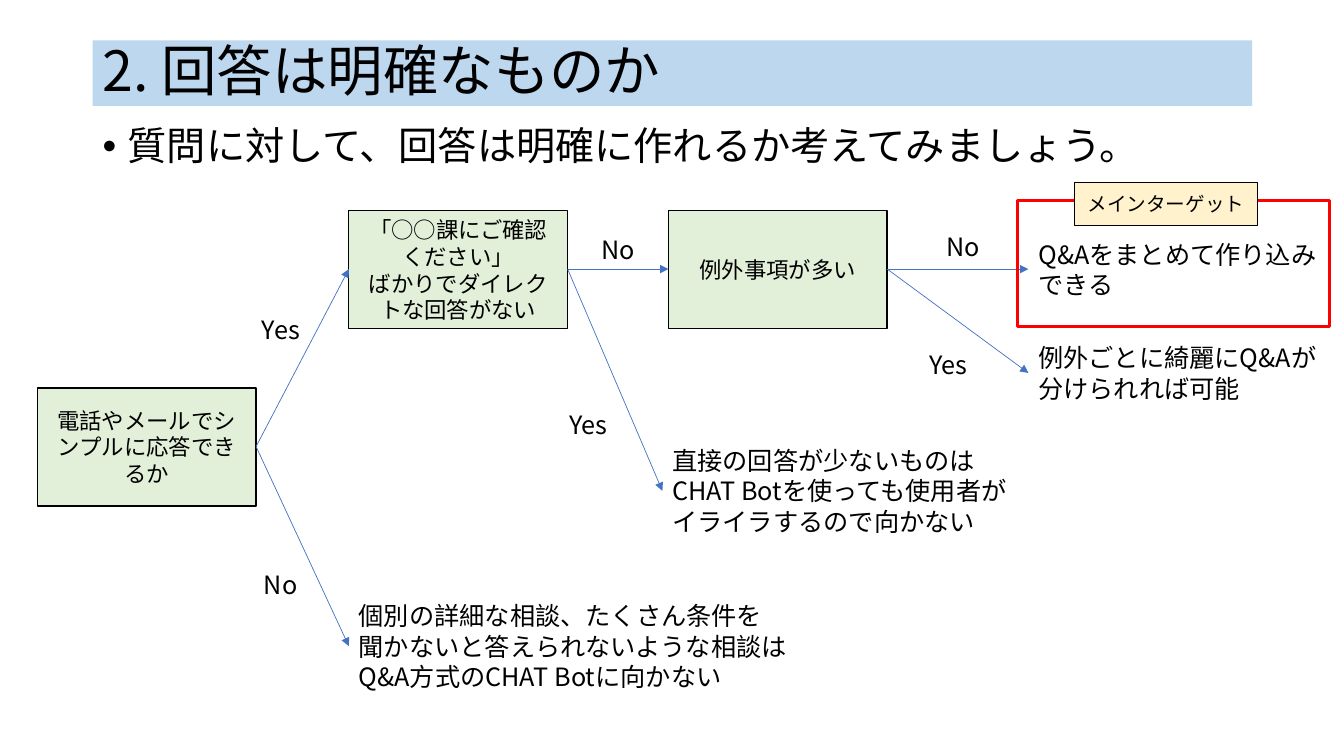
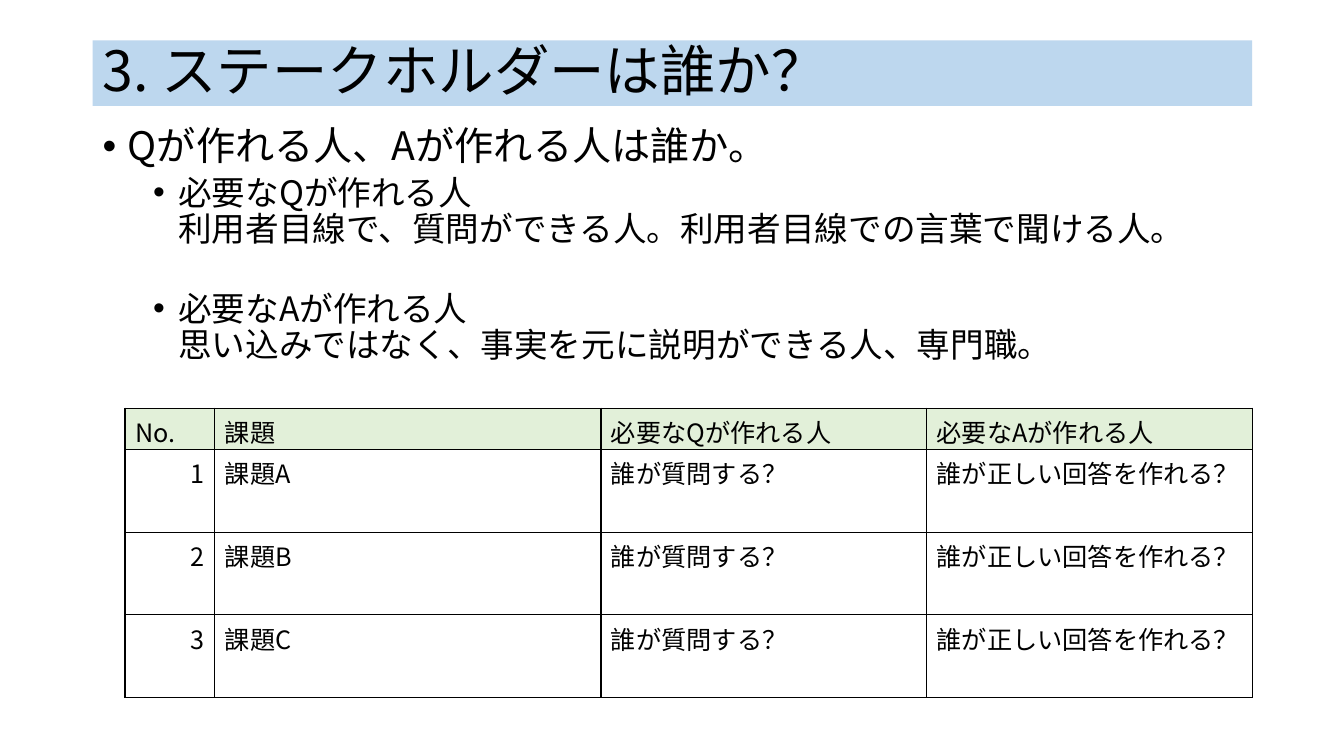
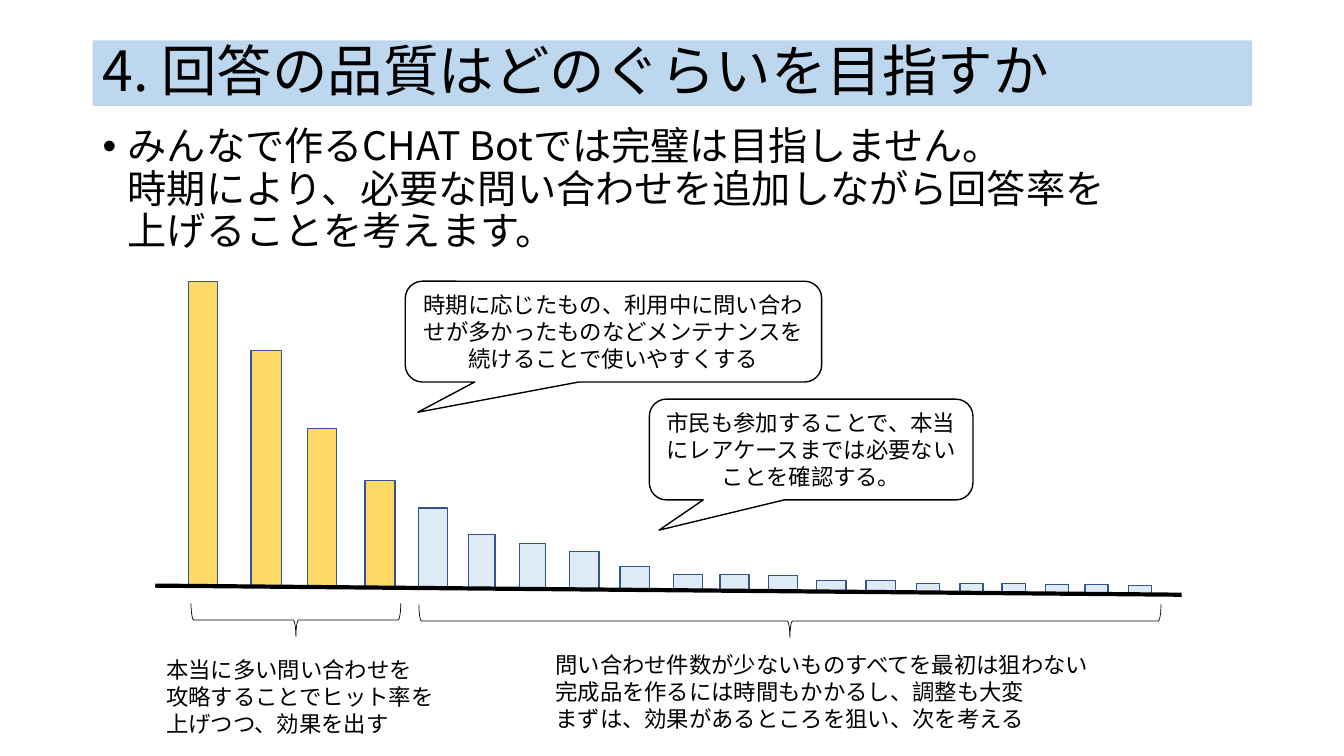
from dataclasses import dataclass

from pptx import Presentation
from pptx.dml.color import RGBColor
from pptx.enum.shapes import MSO_CONNECTOR, MSO_SHAPE
from pptx.enum.text import MSO_ANCHOR, MSO_AUTO_SIZE, PP_ALIGN
from pptx.oxml.xmlchemy import OxmlElement
from pptx.util import Emu, Pt

PX = 9144  # EMU per px, 100 px to the inch
RECT = MSO_SHAPE.RECTANGLE
CALLOUT = MSO_SHAPE.ROUNDED_RECTANGULAR_CALLOUT
BRACE = MSO_SHAPE.LEFT_BRACE
STRAIGHT = MSO_CONNECTOR.STRAIGHT
MIDDLE = MSO_ANCHOR.MIDDLE
GROW = MSO_AUTO_SIZE.SHAPE_TO_FIT_TEXT
LEFT, CENTER, RIGHT = PP_ALIGN.LEFT, PP_ALIGN.CENTER, PP_ALIGN.RIGHT


@dataclass(frozen=True)
class Theme:
    font: str = "Noto Sans CJK JP"
    ink: str = "000000"
    band: str = "BDD7EE"
    green: str = "E2F0D9"
    cream: str = "FFF2CC"
    white: str = "FFFFFF"
    red: str = "FF0000"
    arrow: str = "4472C4"
    gold: str = "FFD966"
    pale: str = "DEEBF7"
    bar_line: str = "325491"
    title: float = 39.6
    bullet: int = 28
    sub_bullet: int = 24
    text: int = 18
    small: int = 16
    tag: int = 14


def px(n):
    return Emu(n * PX)


def child(parent, tag, **attrs):
    el = OxmlElement(tag)
    for name, value in attrs.items():
        el.set(name, str(value))
    parent.append(el)
    return el


class Deck:
    """Holds the theme, the presentation and the slide being drawn."""

    def __init__(self, theme):
        self.theme = theme
        self.prs = Presentation()
        self.prs.slide_width, self.prs.slide_height = px(1333), px(750)
        self.s = None

    def slide(self, title, bullets):
        """Start a slide; bullets are (level, space before, text)."""
        self.s = self.prs.slides.add_slide(self.prs.slide_layouts[6])
        band = self.shape(RECT, (92, 40, 1150, 65), self.theme.band)
        self.put_text(band.text_frame, title, self.theme.title)
        band.text_frame.paragraphs[0].line_spacing = 0.9

        tf = self.s.shapes.add_textbox(*map(px, (92, 121, 1150, 555))).text_frame
        tf.word_wrap = True
        tf.text = "\n".join(text for _, _, text in bullets)
        for p, (level, before, _) in zip(tf.paragraphs, bullets):
            size = self.theme.sub_bullet if level else self.theme.bullet
            self.style(p, size)
            p.level, p.line_spacing, p.space_before = level, 0.9, Pt(before)
            pPr = p._p.get_or_add_pPr()
            pPr.set("marL", str(px(25 + 50 * level)))
            pPr.set("indent", str(px(-25)))
            child(pPr, "a:buFont", typeface="Arial")
            child(pPr, "a:buChar", char="•")

    def style(self, p, size, align=LEFT):
        p.alignment = align
        for r in p.runs:
            r.font.size = Pt(size)
            r.font.color.rgb = RGBColor.from_string(self.theme.ink)
            r.font.name = self.theme.font
            child(r._r.get_or_add_rPr(), "a:ea", typeface=self.theme.font)

    def put_text(self, tf, text, size, align=LEFT):
        tf.text = text
        for p in tf.paragraphs:
            self.style(p, size, align)

    def shape(self, kind, box, fill=None, line=None, weight=1):
        sp = self.s.shapes.add_shape(kind, *map(px, box))
        sp.shadow.inherit = False
        if fill:
            sp.fill.solid()
            sp.fill.fore_color.rgb = RGBColor.from_string(fill)
        else:
            sp.fill.background()
        if line:
            sp.line.color.rgb = RGBColor.from_string(line)
            sp.line.width = Pt(weight)
        else:
            sp.line.fill.background()
        sp.text_frame.vertical_anchor = MIDDLE
        return sp

    def box(self, box, text, fill, size, kind=RECT):
        sp = self.shape(kind, box, fill, self.theme.ink)
        self.put_text(sp.text_frame, text, size, CENTER)
        return sp

    def callout(self, box, text):
        sp = self.box(box, text, self.theme.white, self.theme.small, CALLOUT)
        for i, value in enumerate((-0.47, 0.8, 0.17)):
            sp.adjustments[i] = value

    def text(self, box, text, size):
        tf = self.s.shapes.add_textbox(*map(px, box)).text_frame
        tf.word_wrap = False
        tf.auto_size = GROW
        self.put_text(tf, text, size)

    def line(self, start, end, color, weight, arrow=False):
        c = self.s.shapes.add_connector(STRAIGHT, *map(px, start + end))
        c.line.color.rgb = RGBColor.from_string(color)
        c.line.width = Pt(weight)
        spPr = c._element.spPr
        if arrow:
            child(spPr.get_or_add_ln(), "a:tailEnd", type="triangle")
        child(spPr, "a:effectLst")

    def link(self, source, target):
        """Arrow from the right middle of one box to the left middle of another."""
        x, y, w, h = source
        tx, ty, _, th = target
        self.line((x + w, y + h // 2), (tx, ty + th // 2), self.theme.arrow, 0.5, True)

    def brace(self, left, top, width, depth):
        """Brace that opens upwards over the given span."""
        box = (left + (width - depth) // 2, top - (width - depth) // 2, depth, width)
        self.shape(BRACE, box, None, self.theme.ink, 0.5).rotation = 270

    def table(self, left, top, widths, heights, rows):
        frame = self.s.shapes.add_table(
            len(rows), len(widths), *map(px, (left, top, sum(widths), sum(heights))))
        table = frame.table
        table.first_row = table.horz_banding = False
        for col, width in zip(table.columns, widths):
            col.width = px(width)
        for i, (height, values) in enumerate(zip(heights, rows)):
            table.rows[i].height = px(height)
            for j, value in enumerate(values):
                self.cell(table.cell(i, j), value, i == 0, RIGHT if i and not j else LEFT)

    def cell(self, cell, text, header, align):
        self.put_text(cell.text_frame, text, self.theme.text, align)
        tcPr = cell._tc.get_or_add_tcPr()
        for side in ("L", "R", "T", "B"):
            ln = child(tcPr, f"a:ln{side}", w=Pt(1))
            child(child(ln, "a:solidFill"), "a:srgbClr", val=self.theme.ink)
        if header:
            cell.fill.solid()
            cell.fill.fore_color.rgb = RGBColor.from_string(self.theme.green)
        else:
            cell.fill.background()


def clear_answers(deck):
    t = deck.theme
    deck.slide("2. 回答は明確なものか",
               [(0, 10, "質問に対して、回答は明確に作れるか考えてみましょう。")])

    simple, direct, exceptions = [
        (x, y, 217, 117) for x, y in ((37, 385), (346, 209), (663, 209))]
    for box, text in (
            (simple, "電話やメールでシンプルに応答できるか"),
            (direct, "「○○課にご確認ください」\vばかりでダイレクトな回答がない"),
            (exceptions, "例外事項が多い")):
        deck.box(box, text, t.green, t.small)

    consult = (346, 591, 449, 101)
    indirect = (657, 437, 352, 101)
    split = (1020, 335, 300, 71)
    ready = (1020, 232, 300, 71)
    for box, text in (
            (consult, "個別の詳細な相談、たくさん条件を\v聞かないと答えられないような相談は\v"
                      "Q&A方式のCHAT Botに向かない"),
            (indirect, "直接の回答が少ないものは\vCHAT Botを使っても使用者が\v"
                       "イライラするので向かない"),
            (split, "例外ごとに綺麗にQ&Aが\v分けられれば可能"),
            (ready, "Q&Aをまとめて作り込み\vできる")):
        deck.text(box, text, t.text)

    for source, target, answer, x, y in (
            (simple, direct, "Yes", 250, 307),
            (simple, consult, "No", 252, 560),
            (direct, exceptions, "No", 587, 228),
            (direct, indirect, "Yes", 555, 401),
            (exceptions, ready, "No", 929, 225),
            (exceptions, split, "Yes", 912, 342)):
        deck.link(source, target)
        deck.text((x, y, 63 if answer == "Yes" else 53, 40), answer, t.text)

    deck.shape(RECT, (1009, 199, 310, 125), None, t.red, 2.25)
    deck.box((1066, 181, 181, 43), "メインターゲット", t.cream, t.tag)


def stakeholders(deck):
    deck.slide("3. ステークホルダーは誰か？", [
        (0, 10, "Qが作れる人、Aが作れる人は誰か。"),
        (1, 5, "必要なQが作れる人\v利用者目線で、質問ができる人。利用者目線での言葉で聞ける人。"),
        (1, 31, "必要なAが作れる人\v思い込みではなく、事実を元に説明ができる人、専門職。")])
    rows = [("No.", "課題", "必要なQが作れる人", "必要なAが作れる人")]
    rows += [(str(n), f"課題{letter}", "誰が質問する？", "誰が正しい回答を作れる？")
             for n, letter in enumerate("ABC", 1)]
    deck.table(124, 405, (89, 383, 323, 323), (41, 82, 82, 82), rows)


def answer_quality(deck):
    t = deck.theme
    deck.slide("4. 回答の品質はどのぐらいを目指すか", [
        (0, 10, "みんなで作るCHAT Botでは完璧は目指しません。\v"
                "時期により、必要な問い合わせを追加しながら回答率を\v上げることを考えます。")])

    start, end = (154, 581), (1172, 590)
    slope = (end[1] - start[1]) / (end[0] - start[0])
    frequent = ((187, 279, 29), (249, 348, 30), (305, 425, 29), (362, 477, 30))
    rare = ((415, 504, 29), (465, 530, 26), (515, 539, 26), (565, 547, 29),
            (615, 562, 29), (668, 570, 29), (714, 570, 29), (762, 571, 29),
            (810, 576, 29), (859, 576, 29), (909, 579, 23), (952, 579, 23),
            (994, 579, 23), (1037, 580, 23), (1076, 580, 23), (1119, 581, 23))
    for bars, fill in ((frequent, t.gold), (rare, t.pale)):
        for x, top, width in bars:
            bottom = round(start[1] + slope * (x - start[0]))
            deck.shape(RECT, (x, top, width, bottom - top), fill, t.bar_line)
    deck.line(start, end, t.ink, 3)

    deck.brace(190, 598, 208, 33)
    deck.text((155, 646, 289, 91),
              "本当に多い問い合わせを\v攻略することでヒット率を\v上げつつ、効果を出す", t.small)
    deck.brace(416, 599, 736, 33)
    deck.text((541, 641, 559, 91),
              "問い合わせ件数が少ないものすべてを最初は狙わない\v"
              "完成品を作るには時間もかかるし、調整も大変\v"
              "まずは、効果があるところを狙い、次を考える", t.small)

    deck.callout((402, 279, 413, 100),
                 "時期に応じたもの、利用中に問い合わせが多かったものなど"
                 "メンテナンスを続けることで使いやすくする")
    deck.callout((644, 396, 321, 100),
                 "市民も参加することで、本当にレアケースまでは必要ないことを確認する。")


def main():
    deck = Deck(Theme())
    clear_answers(deck)
    stakeholders(deck)
    answer_quality(deck)
    deck.prs.save("out.pptx")


if __name__ == "__main__":
    main()
